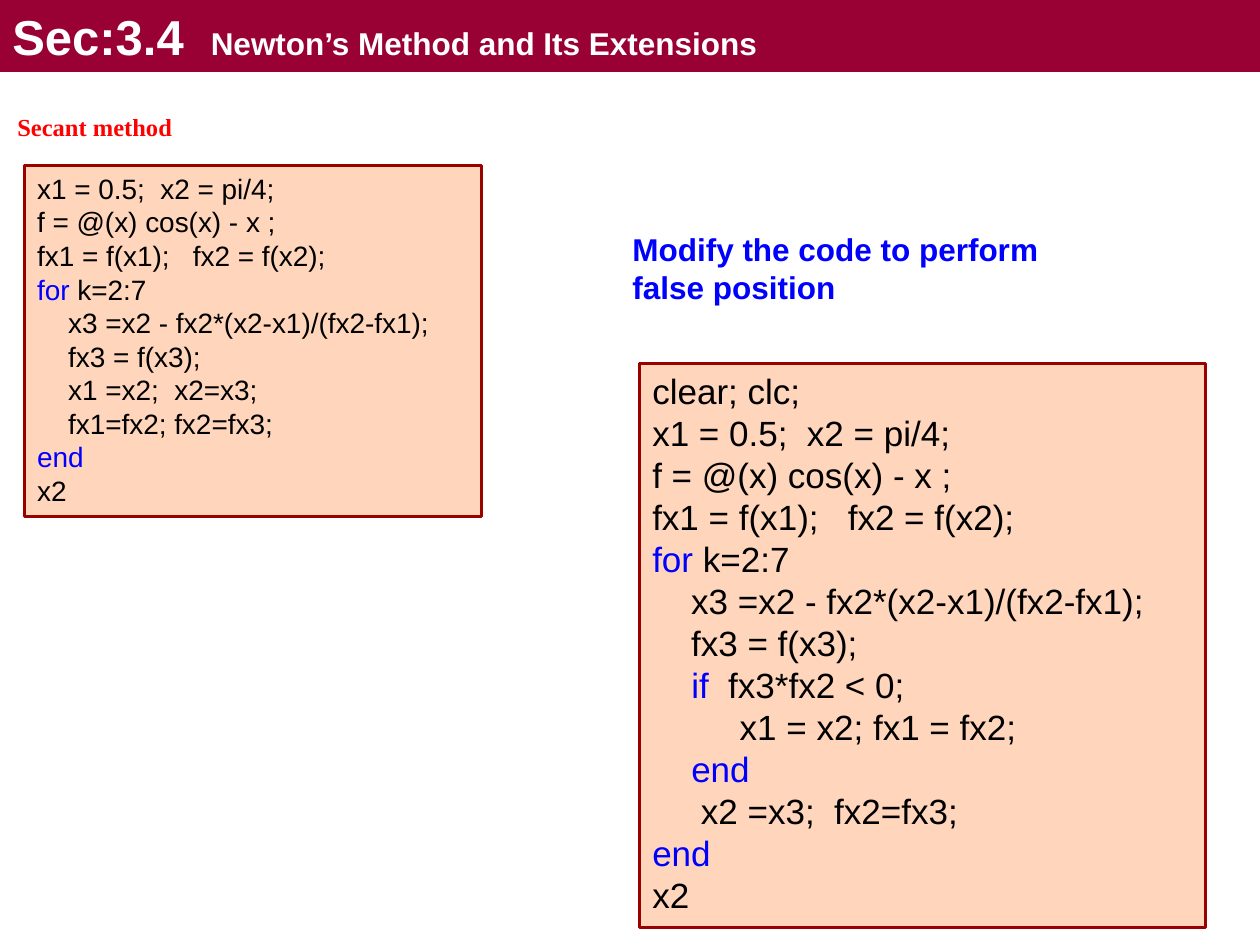
from dataclasses import dataclass

from lxml.etree import SubElement
from pptx import Presentation
from pptx.dml.color import RGBColor
from pptx.enum.shapes import MSO_SHAPE
from pptx.enum.text import MSO_ANCHOR, MSO_AUTO_SIZE as AutoSize, PP_ALIGN
from pptx.oxml.ns import qn
from pptx.util import Cm, Pt


@dataclass(frozen=True)
class Theme:
    banner: str = "990033"
    border: str = "990000"
    panel: str = "FF6A0A"
    panel_opacity: int = 27
    white: str = "FFFFFF"
    code: str = "000000"
    keyword: str = "0000FF"
    method: str = "FF0000"
    sans: str = "Arial"
    serif: str = "Times New Roman"
    section_size: int = 28
    heading_size: int = 18
    method_size: int = 14


@dataclass(frozen=True)
class Box:
    left: float
    top: float
    width: float
    height: float

    def lengths(self):
        return Cm(self.left), Cm(self.top), Cm(self.width), Cm(self.height)


@dataclass(frozen=True)
class CodePanel:
    box: Box
    size: int
    code: str


THEME = Theme()
KEYWORDS = ("for", "if", "end")

SECANT_CODE = """\
x1 = 0.5;  x2 = pi/4;
f = @(x) cos(x) - x ;
fx1 = f(x1);   fx2 = f(x2);
for k=2:7
    x3 =x2 - fx2*(x2-x1)/(fx2-fx1);
    fx3 = f(x3);
    x1 =x2;  x2=x3;
    fx1=fx2; fx2=fx3;
end
x2"""

FALSE_POSITION_CODE = """\
clear; clc;
x1 = 0.5;  x2 = pi/4;
f = @(x) cos(x) - x ;
fx1 = f(x1);   fx2 = f(x2);
for k=2:7
    x3 =x2 - fx2*(x2-x1)/(fx2-fx1);
    fx3 = f(x3);
    if  fx3*fx2 < 0;
         x1 = x2; fx1 = fx2;
    end
     x2 =x3;  fx2=fx3;
end
x2"""

PANELS = (
    CodePanel(Box(0.5, 3.33, 9.2, 7.09), 16, SECANT_CODE),
    CodePanel(Box(12.9, 7.32, 11.4, 11.38), 20, FALSE_POSITION_CODE),
)


def add_text(paragraph, text: str, *, size: int, color: str,
             font: str = THEME.sans, bold: bool = False) -> None:
    run = paragraph.add_run()
    run.text = text
    run.font.name = font
    run.font.size = Pt(size)
    run.font.bold = bold
    run.font.color.rgb = RGBColor.from_string(color)


def add_rectangle(slide, box: Box, fill: str):
    shape = slide.shapes.add_shape(MSO_SHAPE.RECTANGLE, *box.lengths())
    shape.shadow.inherit = False
    shape.fill.solid()
    shape.fill.fore_color.rgb = RGBColor.from_string(fill)
    shape.line.fill.background()
    frame = shape.text_frame
    frame.word_wrap = True
    frame.auto_size = AutoSize.SHAPE_TO_FIT_TEXT
    frame.vertical_anchor = MSO_ANCHOR.TOP
    frame.paragraphs[0].alignment = PP_ALIGN.LEFT
    return shape


def add_label(slide, box: Box, text: str, *, wrap: bool, **text_format) -> None:
    frame = slide.shapes.add_textbox(*box.lengths()).text_frame
    frame.word_wrap = wrap
    frame.auto_size = AutoSize.SHAPE_TO_FIT_TEXT
    add_text(frame.paragraphs[0], text, bold=True, **text_format)


def add_banner(slide, section: str, heading: str) -> None:
    banner = add_rectangle(slide, Box(0, 0, 25.4, 1.45), THEME.banner)
    paragraph = banner.text_frame.paragraphs[0]
    tabs = SubElement(paragraph._p.get_or_add_pPr(), qn("a:tabLst"))
    SubElement(tabs, qn("a:tab"), pos=str(Cm(4)), algn="l")
    add_text(paragraph, section + "\t", size=THEME.section_size,
             color=THEME.white, bold=True)
    add_text(paragraph, heading, size=THEME.heading_size,
             color=THEME.white, bold=True)


def add_code_line(paragraph, line: str, size: int) -> None:
    statement = line.lstrip()
    indent = line[:len(line) - len(statement)]
    word = statement.split()[0]
    if word not in KEYWORDS:
        add_text(paragraph, line, size=size, color=THEME.code)
        return
    pieces = ((indent, THEME.code), (word, THEME.keyword),
              (statement[len(word):], THEME.code))
    for text, color in pieces:
        if text:
            add_text(paragraph, text, size=size, color=color)


def add_code_panel(slide, panel: CodePanel) -> None:
    shape = add_rectangle(slide, panel.box, THEME.panel)
    fill_color = shape._element.spPr.find(qn("a:solidFill"))[0]
    SubElement(fill_color, qn("a:alpha"), val=str(THEME.panel_opacity * 1000))
    shape.line.color.rgb = RGBColor.from_string(THEME.border)
    shape.line.width = Pt(1.75)
    frame = shape.text_frame
    for index, line in enumerate(panel.code.splitlines()):
        paragraph = frame.add_paragraph() if index else frame.paragraphs[0]
        paragraph.alignment = PP_ALIGN.LEFT
        add_code_line(paragraph, line, panel.size)


def main() -> None:
    presentation = Presentation()
    presentation.slide_width, presentation.slide_height = Cm(25.4), Cm(19.05)
    slide = presentation.slides.add_slide(presentation.slide_layouts[6])
    add_banner(slide, "Sec:3.4", "Newton’s Method and Its Extensions")
    add_label(slide, Box(0.1, 2.13, 4.06, 0.86), "Secant method", wrap=False,
              size=THEME.method_size, color=THEME.method, font=THEME.serif)
    for panel in PANELS:
        add_code_panel(slide, panel)
    add_label(slide, Box(12.5, 4.52, 9.2, 1.8),
              "Modify the code to perform false position", wrap=True,
              size=THEME.heading_size, color=THEME.keyword)
    presentation.save("out.pptx")


if __name__ == "__main__":
    main()
